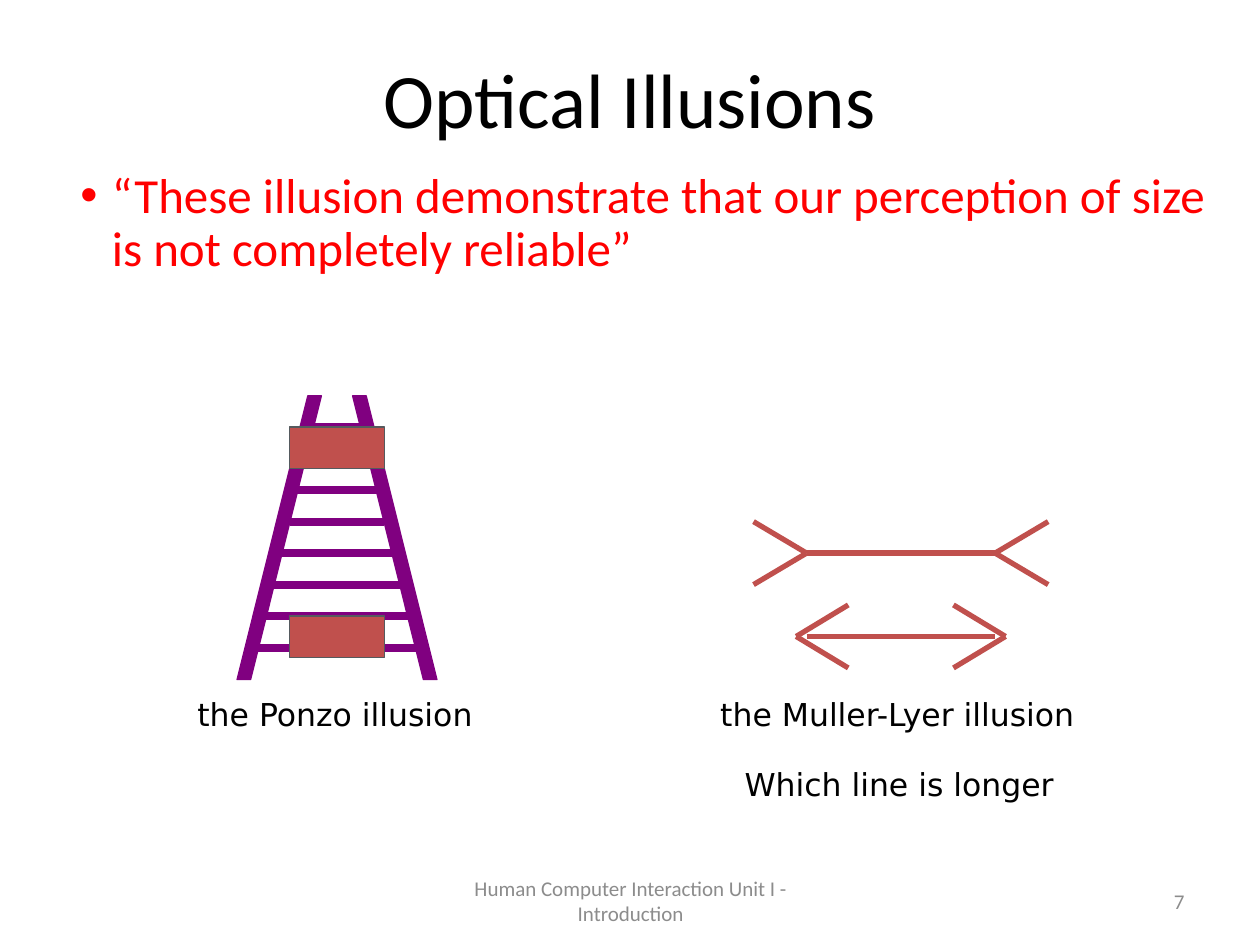
from dataclasses import dataclass

from lxml.etree import SubElement
from pptx import Presentation
from pptx.dml.color import RGBColor
from pptx.enum.shapes import MSO_CONNECTOR as Connector, MSO_SHAPE as Shape
from pptx.enum.text import MSO_ANCHOR as Anchor, MSO_AUTO_SIZE as AutoSize, PP_ALIGN as Align
from pptx.oxml.ns import qn
from pptx.util import Cm, Pt


@dataclass(frozen=True)
class Theme:
    """Colours, fonts and sizes of the slide."""
    black: str = "000000"
    red: str = "FF0000"
    grey: str = "8C8C8C"
    purple: str = "800080"
    brick: str = "C0504D"
    outline: str = "555A5E"
    main_font: str = "Calibri"
    caption_font: str = "DejaVu Sans"
    title: int = 44
    body: int = 28
    caption: int = 18
    footer: int = 12
    thin: float = 0.75
    arrow: float = 3
    rung: float = 4.5


T = Theme()
GRID = 2.54 / 4  # rung spacing and arrow fin height, in cm


def add_text(slide, box, text, size, color, font=T.main_font, align=Align.LEFT,
             anchor=Anchor.TOP, wrap=True):
    """Add a one-paragraph text box and return its paragraph."""
    tf = slide.shapes.add_textbox(*map(Cm, box)).text_frame
    tf.text = text
    tf.word_wrap = wrap
    tf.auto_size = AutoSize.NONE if wrap else AutoSize.SHAPE_TO_FIT_TEXT
    tf.vertical_anchor = anchor
    p = tf.paragraphs[0]
    p.alignment = align
    f = p.runs[0].font
    f.name, f.size = font, Pt(size)
    f.color.rgb = RGBColor.from_string(color)
    return p


def add_bullet(p):
    """Give a paragraph a hanging bullet and body spacing."""
    p.line_spacing = 0.9
    p.space_before = Pt(10)
    pPr = p._p.get_or_add_pPr()
    pPr.set("marL", str(Cm(GRID)))
    pPr.set("indent", str(-Cm(GRID)))
    SubElement(pPr, qn("a:buFont")).set("typeface", "Arial")
    SubElement(pPr, qn("a:buChar")).set("char", "•")


def add_line(group, start, end, color, width):
    """Add a straight line between two points."""
    s = group.shapes.add_connector(Connector.STRAIGHT, *map(Cm, (*start, *end)))
    s.line.color.rgb = RGBColor.from_string(color)
    s.line.width = Pt(width)
    SubElement(s._element.spPr, qn("a:effectLst"))


def add_block(group, kind, box, fill, line):
    """Add a filled and outlined preset shape."""
    s = group.shapes.add_shape(kind, *map(Cm, box))
    s.shadow.inherit = False
    s.fill.solid()
    s.fill.fore_color.rgb = RGBColor.from_string(fill)
    s.line.color.rgb = RGBColor.from_string(line)
    s.line.width = Pt(T.thin)
    return s


def draw_ponzo(slide):
    """Draw the ladder with two equal bars."""
    ladder = slide.shapes.add_group_shape()
    for left, flipped in ((4.78, False), (7.11, True)):
        rail = add_block(ladder, Shape.PARALLELOGRAM, (left, 7.98, 1.7, 5.72), T.purple, T.purple)
        rail.adjustments[0] = 0.839
        if flipped:
            rail._element.spPr.find(qn("a:xfrm")).set("flipH", "1")
    rungs = {0: (5, 8.38), 1: (5.21, 8.38), 2: (5.41, 8.18), 3: (5.63, 7.95),
             4: (5.84, 7.75), 5: (5.84, 7.75), 7: (6.27, 7.32)}
    for step, (left, right) in rungs.items():
        y = 13.06 - step * GRID
        add_line(ladder, (left, y), (right, y), T.purple, T.rung)
    for top in (12.42, 8.61):
        add_block(ladder, Shape.RECTANGLE, (5.84, top, 1.91, 0.84), T.brick, T.outline)


def draw_muller_lyer(slide):
    """Draw two equal shafts, with fins turned outwards and inwards."""
    arrows = slide.shapes.add_group_shape()
    center, half = 18.16, 1.9
    for y, joint, tip in ((11.15, half, 2.97), (12.83, 2.11, 1.06)):
        for side in (1, -1):
            for fin in (-GRID, GRID):
                add_line(arrows, (center + side * joint, y),
                         (center + side * tip, y + fin), T.brick, T.arrow)
        add_line(arrows, (center - half, y), (center + half, y), T.brick, T.arrow)


def main():
    """Build and save the slide."""
    prs = Presentation()
    prs.slide_width, prs.slide_height = Cm(25.4), Cm(19.05)
    slide = prs.slides.add_slide(prs.slide_layouts[6])

    add_text(slide, (1.75, 0.61, 21.9, 2.74), "Optical Illusions", T.title, T.black,
             align=Align.CENTER, anchor=Anchor.MIDDLE)
    add_text(slide, (8.69, 17.65, 8.05, 1.02), "Human Computer Interaction Unit I - Introduction",
             T.footer, T.grey, align=Align.CENTER, anchor=Anchor.MIDDLE)
    add_text(slide, (18.21, 17.65, 5.92, 1.02), "7", T.footer, T.grey,
             align=Align.RIGHT, anchor=Anchor.MIDDLE)
    add_bullet(add_text(
        slide, (1.37, 3.33, 23.42, 12.07),
        "“These illusion demonstrate that our perception of size is not completely reliable”",
        T.body, T.red))

    draw_ponzo(slide)
    draw_muller_lyer(slide)

    captions = ((3.73, 13.89, 6.1, "the Ponzo illusion"),
                (14.27, 13.89, 8.08, "the Muller-Lyer illusion"),
                (14.76, 15.29, 6.83, "Which line is longer"))
    for left, top, width, text in captions:
        add_text(slide, (left, top, width, 1.02), text, T.caption, T.black,
                 font=T.caption_font, wrap=False)

    prs.save("out.pptx")


main()
